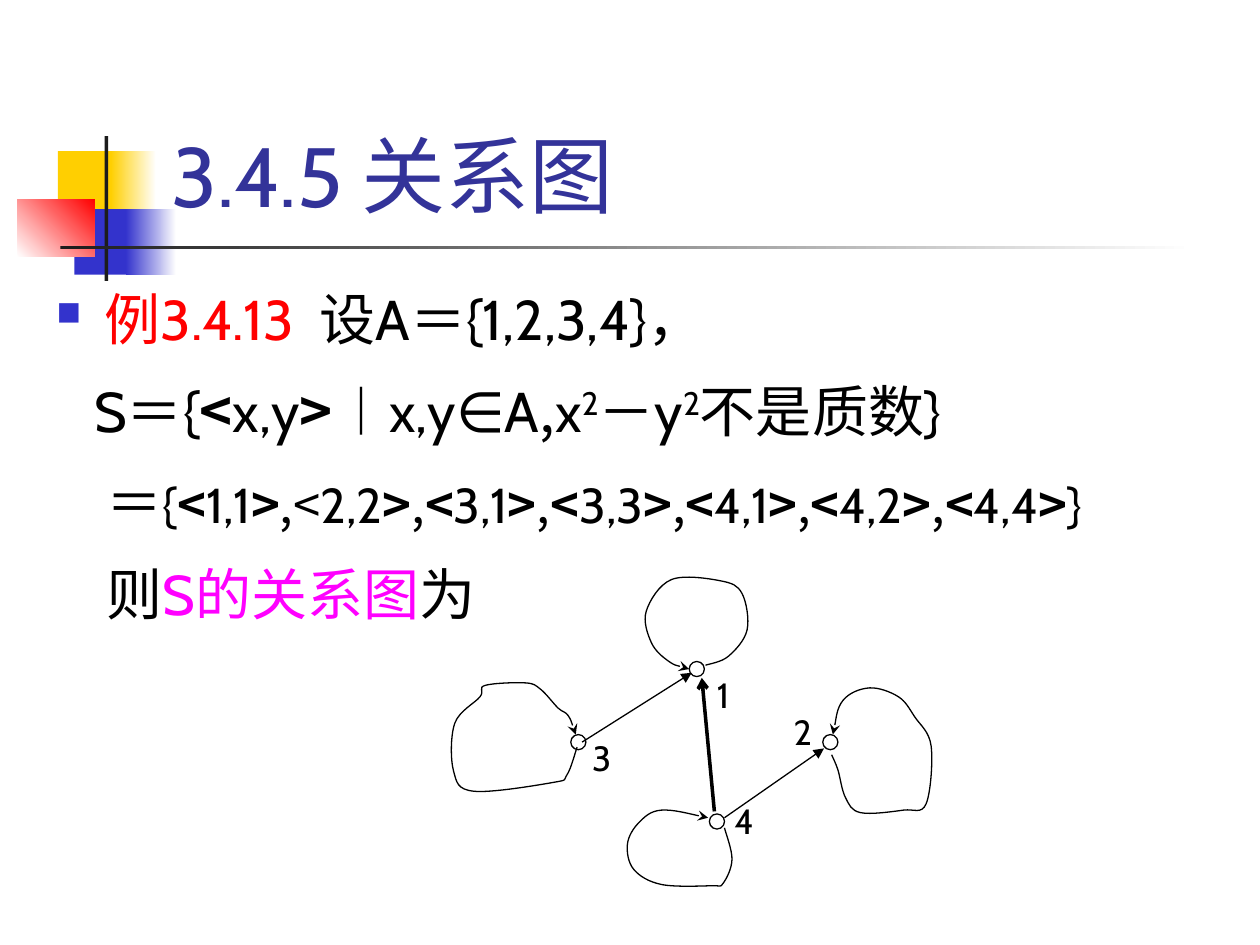
"""Build the slide on relation graphs."""
from lxml.etree import SubElement
from pptx import Presentation
from pptx.dml.color import RGBColor
from pptx.enum.shapes import MSO_CONNECTOR as CONNECTOR, MSO_SHAPE as SHAPE
from pptx.enum.text import MSO_ANCHOR as ANCHOR
from pptx.oxml.ns import qn
from pptx.util import Inches, Pt

CABIN, NOTO = "Cabin", "Noto Sans CJK SC"
BLACK, WHITE, CHARCOAL = "000000", "FFFFFF", "1C1C1C"
YELLOW, BLUE, RED, NAVY, MAGENTA = "FFCF01", "3333CC", "FF0000", "333399", "FF00FF"

BANDS = [
    ((0.46, 1.2, 0.48, 0.52), [YELLOW], 0),
    ((0.88, 1.2, 0.36, 0.52), [YELLOW, WHITE], 0),
    ((0.59, 1.66, 0.46, 0.52), [BLUE], 0),
    ((1, 1.66, 0.4, 0.52), [BLUE, WHITE], 0),
    ((0.14, 1.58, 0.61, 0.46), [WHITE, RED], 45),
    ((0.83, 1.08, 0.03, 1.15), [CHARCOAL], 0),
    ((0.48, 1.95, 9, 0.03), [CHARCOAL, WHITE], 0),
]
NODES = {
    "1": ((5.47, 5.25), (5.59, 5.3)),
    "2": ((6.53, 5.83), (6.2, 5.59)),
    "3": ((4.53, 5.83), (4.6, 5.8)),
    "4": ((5.63, 6.46), (5.73, 6.3)),
}
ARROWS = [
    ((4.62, 5.89), (5.49, 5.34), 0.75, "triangle"),
    ((5.75, 6.49), (6.54, 5.94), 0.75, "triangle"),
    ((5.67, 6.44), (5.57, 5.38), 2, "arrow"),
]
LOOPS = [
    [(5.6, 5.28), (5.78, 5.21), (5.93, 5), (5.89, 4.71), (5.72, 4.61),
     (5.33, 4.6), (5.13, 4.85), (5.17, 5.1), (5.31, 5.25), (5.47, 5.31)],
    [(6.6, 5.99), (6.65, 6.11), (6.71, 6.33), (6.83, 6.45), (7.17, 6.43),
     (7.35, 6.38), (7.39, 5.92), (7.26, 5.69), (7.13, 5.53), (6.9, 5.46),
     (6.69, 5.56), (6.61, 5.83)],
    [(4.58, 5.93), (4.5, 6.15), (4.39, 6.21), (3.76, 6.28), (3.6, 6.12),
     (3.61, 5.74), (3.81, 5.53), (3.85, 5.44), (4.17, 5.42), (4.29, 5.47),
     (4.43, 5.62), (4.51, 5.68), (4.57, 5.83)],
    [(5.75, 6.57), (5.81, 6.82), (5.74, 7.01), (5.65, 7.03), (5.25, 7.02),
     (5.03, 6.9), (4.98, 6.7), (5.07, 6.53), (5.25, 6.43), (5.62, 6.49)],
]


def rgb(code):
    """Turn a hex string into a colour."""
    return RGBColor.from_string(code)


def add_band(slide, box, colors, angle):
    """Add a borderless rectangle in one colour or a two-colour gradient."""
    band = slide.shapes.add_shape(SHAPE.RECTANGLE, *map(Inches, box))
    band.shadow.inherit = False
    band.line.fill.background()
    if len(colors) == 1:
        band.fill.solid()
        band.fill.fore_color.rgb = rgb(colors[0])
        return
    band.fill.gradient()
    band.fill.gradient_angle = angle
    for stop, color in zip(band.fill.gradient_stops, colors):
        stop.color.rgb = rgb(color)


def add_frame(slide, box, wrap=True, anchor=ANCHOR.TOP):
    """Add a text box and return its text frame."""
    frame = slide.shapes.add_textbox(*map(Inches, box)).text_frame
    frame.word_wrap = wrap
    frame.vertical_anchor = anchor
    return frame


def add_run(paragraph, text, size=32, face=CABIN, color=BLACK, bold=False, raised=False):
    """Add a formatted run of text."""
    run = paragraph.add_run()
    run.text = text
    font = run.font
    font.size, font.name, font.bold = Pt(size), face, bold
    font.color.rgb = rgb(color)
    properties = run._r.get_or_add_rPr()
    SubElement(properties, qn("a:ea"), typeface=face)
    if raised:
        properties.set("baseline", "30000")


def add_bullet(paragraph, color, percent):
    """Give a paragraph a square bullet."""
    properties = paragraph._p.get_or_add_pPr()
    tint = SubElement(properties, qn("a:buClr"))
    SubElement(tint, qn("a:srgbClr"), val=color)
    SubElement(properties, qn("a:buSzPct"), val=str(percent * 1000))
    SubElement(properties, qn("a:buChar"), char="■")


def relation_runs():
    """List the runs that spell out the ordered pairs of S."""
    strong, plain = dict(size=28, face=NOTO, bold=True), dict(size=28, face=NOTO)
    runs = [("＝", {}), ("{", dict(size=28))]
    for index, pair in enumerate(["1,1", "2,2", "3,1", "3,3", "4,1", "4,2", "4,4"]):
        if index:
            runs.append((",", plain))
        runs += [("<", plain if pair == "2,2" else strong),
                 (pair, dict(size=28)), (">", strong)]
    return runs + [("}", dict(size=28))]


def add_example(slide):
    """Add the worked example."""
    strong, raised = dict(face=NOTO, bold=True), dict(raised=True)
    lines = [
        (0.38, [("例3.4.13  ", dict(color=RED)), ("设A＝{1,2,3,4}，", {})]),
        (0.3, [("S＝{", {}), ("<", strong), ("x,y", {}), (">", strong), ("︱x,y∈A", {}),
               (",", dict(face=NOTO)), ("x", {}), ("2", raised), ("－y", {}),
               ("2", raised), ("不是质数}", {})]),
        (0.4, relation_runs()),
        (0.4, [("则", {}), ("S的关系图", dict(color=MAGENTA)), ("为", {})]),
    ]
    frame = add_frame(slide, (0.35, 2.1, 9.57, 5.4))
    for index, (margin, runs) in enumerate(lines):
        paragraph = frame.add_paragraph() if index else frame.paragraphs[0]
        paragraph.line_spacing = 1.2
        properties = paragraph._p.get_or_add_pPr()
        properties.set("marL", str(Inches(margin)))
        properties.set("indent", str(0 if index else -Inches(margin)))
        if index:
            paragraph.space_before = Pt(6.4)
        else:
            add_bullet(paragraph, BLUE, 60)
        for text, style in runs:
            add_run(paragraph, text, **style)


def style_line(line, width, arrow):
    """Draw a black line with an arrowhead at its end."""
    line.width = Pt(width)
    line.color.rgb = rgb(BLACK)
    SubElement(line._get_or_add_ln(), qn("a:tailEnd"), type=arrow)


def curve_points(knots):
    """Return the Bezier points of a smooth curve through the knots."""
    padded = [knots[0], *knots, knots[-1]]
    points = []
    for before, start, finish, after in zip(padded, padded[1:], padded[2:], padded[3:]):
        points.append(tuple(s + (f - b) / 6 for b, s, f in zip(before, start, finish)))
        points.append(tuple(f - (a - s) / 6 for s, f, a in zip(start, finish, after)))
        points.append(finish)
    return points


def add_loop(slide, knots):
    """Add a smooth open loop that ends in an arrowhead."""
    builder = slide.shapes.build_freeform(*map(Inches, knots[0]))
    builder.add_line_segments(
        [(Inches(x), Inches(y)) for x, y in curve_points(knots)], close=False)
    loop = builder.convert_to_shape()
    loop.shadow.inherit = False
    loop.fill.background()
    style_line(loop.line, 0.75, "stealth")
    segments = list(loop._element.iter(qn("a:lnTo")))
    outline = segments[0].getparent()
    for first in range(0, len(segments), 3):
        curve = SubElement(outline, qn("a:cubicBezTo"))
        for segment in segments[first:first + 3]:
            curve.append(segment[0])
            outline.remove(segment)


def add_arrow(slide, start, finish, width, arrow):
    """Add a straight arrow between two nodes."""
    edge = slide.shapes.add_connector(CONNECTOR.STRAIGHT, *map(Inches, start + finish))
    style_line(edge.line, width, arrow)
    SubElement(edge._element.spPr, qn("a:effectLst"))


def add_node(slide, name, corner, label_corner):
    """Add a small circle and its number."""
    node = slide.shapes.add_shape(SHAPE.OVAL, *map(Inches, corner + (0.12, 0.12)))
    node.shadow.inherit = False
    node.fill.background()
    node.line.width = Pt(0.75)
    node.line.color.rgb = rgb(BLACK)
    label = add_frame(slide, label_corner + (0.35, 0.43), wrap=False)
    add_run(label.paragraphs[0], name, size=20)


def main():
    """Build and save the slide."""
    deck = Presentation()
    deck.slide_width, deck.slide_height = Inches(10), Inches(7.5)
    slide = deck.slides.add_slide(deck.slide_layouts[6])
    for band in BANDS:
        add_band(slide, *band)
    title = add_frame(slide, (1.26, 0.23, 8.52, 1.6), anchor=ANCHOR.BOTTOM)
    add_run(title.paragraphs[0], "3.4.5 关系图", size=48, color=NAVY)
    add_example(slide)
    for name, corners in NODES.items():
        add_node(slide, name, *corners)
    for knots in LOOPS:
        add_loop(slide, knots)
    for arrow in ARROWS:
        add_arrow(slide, *arrow)
    deck.save("out.pptx")


if __name__ == "__main__":
    main()
